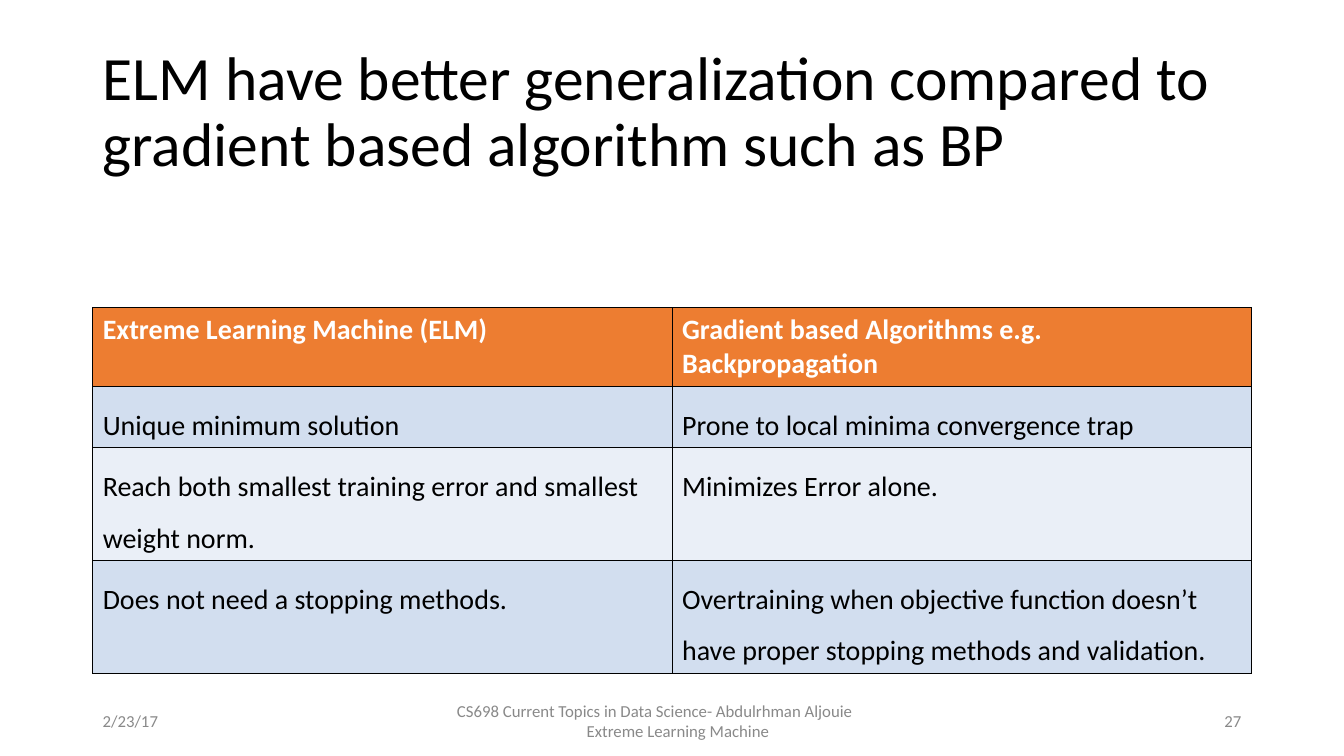
from lxml.etree import SubElement
from pptx import Presentation
from pptx.dml.color import RGBColor
from pptx.enum.text import MSO_ANCHOR as ANCHOR, MSO_AUTO_SIZE as AUTO, PP_ALIGN as ALIGN
from pptx.oxml.ns import qn
from pptx.util import Pt

TITLE = "ELM have better generalization compared to gradient based algorithm such as BP"
ROWS = [
    ("Extreme Learning Machine (ELM)", "Gradient based Algorithms e.g. Backpropagation"),
    ("Unique minimum solution", "Prone to local minima convergence trap"),
    ("Reach both smallest training error and smallest weight norm.", "Minimizes Error alone."),
    ("Does not need a stopping methods.",
     "Overtraining when objective function doesn’t have proper stopping methods and validation."),
]
ROW_HEIGHTS = [77, 60, 110, 110]
FOOTERS = [
    (92, 300, ALIGN.LEFT, [("2/23/17", {})]),
    (442, 450, ALIGN.CENTER, [
        ("CS698 Current Topics in Data Science- Abdulrhman Aljouie", {"marR": 34}),
        ("Extreme Learning Machine", {"marL": 46}),
    ]),
    (942, 300, ALIGN.RIGHT, [("27", {})]),
]

BLACK = RGBColor(0x00, 0x00, 0x00)
WHITE = RGBColor(0xFF, 0xFF, 0xFF)
ORANGE = RGBColor(0xED, 0x7D, 0x31)
BLUE = RGBColor(0xD2, 0xDE, 0xEF)
PALE = RGBColor(0xEA, 0xEF, 0xF7)
GRAY = RGBColor(0x89, 0x89, 0x89)

PX = 9144
LEFT, WIDTH = 92, 1150


def box(*lengths):
    return [n * PX for n in lengths]


def write(p, text, size, color, bold=False, **layout):
    for name, value in layout.items():
        setattr(p, name, value)
    r = p.add_run()
    r.text = text
    for name, value in {"name": "Calibri", "size": Pt(size), "bold": bold}.items():
        setattr(r.font, name, value)
    r.font.color.rgb = color


def add_borders(cell):
    tcPr = cell._tc.get_or_add_tcPr()
    for i, side in enumerate(("lnL", "lnR", "lnT", "lnB")):
        ln = SubElement(tcPr, qn(f"a:{side}"), w=str(Pt(0.45)))
        tcPr.insert(i, ln)
        fill = SubElement(ln, qn("a:solidFill"))
        SubElement(fill, qn("a:srgbClr"), val=str(BLACK))


def add_title(s):
    title = s.shapes.title
    title.left, title.top, title.width, title.height = box(LEFT, 40, WIDTH, 145)
    tf = title.text_frame
    tf.auto_size, tf.vertical_anchor = AUTO.NONE, ANCHOR.MIDDLE
    write(tf.paragraphs[0], TITLE, 44, BLACK, alignment=ALIGN.LEFT, line_spacing=0.9)


def add_comparison(s):
    frame = s.shapes.add_table(len(ROWS), 2, *box(LEFT, 305, WIDTH, sum(ROW_HEIGHTS)))
    for i, (texts, height) in enumerate(zip(ROWS, ROW_HEIGHTS)):
        frame.table.rows[i].height = height * PX
        header = i == 0
        for j, text in enumerate(texts):
            cell = frame.table.cell(i, j)
            cell.fill.solid()
            cell.fill.fore_color.rgb = ORANGE if header else BLUE if i % 2 else PALE
            add_borders(cell)
            write(cell.text_frame.paragraphs[0], text, 20, WHITE if header else BLACK,
                  header, line_spacing=1.0 if header else 1.5)


def add_footers(s):
    for left, width, align, lines in FOOTERS:
        tf = s.shapes.add_textbox(*box(left, 695, width, 40)).text_frame
        tf.word_wrap, tf.vertical_anchor = True, ANCHOR.MIDDLE
        for i, (text, margins) in enumerate(lines):
            p = tf.add_paragraph() if i else tf.paragraphs[0]
            for side, n in margins.items():
                p._p.get_or_add_pPr().set(side, str(n * PX))
            write(p, text, 12, GRAY, alignment=align)


def main():
    prs = Presentation()
    prs.slide_width, prs.slide_height = box(1334, 750)
    s = prs.slides.add_slide(prs.slide_layouts[5])
    add_title(s)
    add_comparison(s)
    add_footers(s)
    prs.save("out.pptx")


if __name__ == "__main__":
    main()
